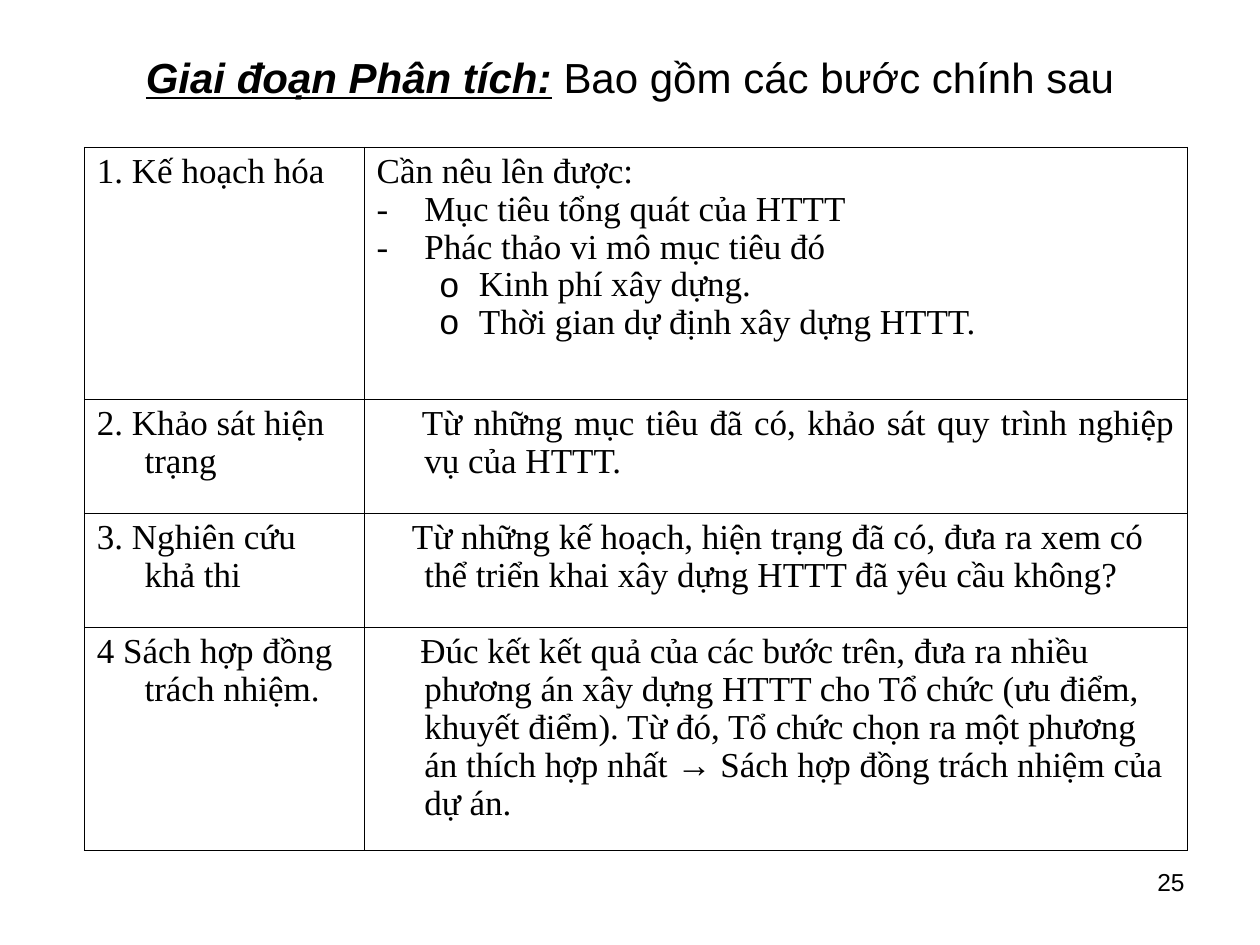
import pptx
import pptx.dml.color
import pptx.enum.text
import pptx.oxml.ns
import pptx.util
from lxml import etree
from pptx.util import Cm, Pt

ALIGN = pptx.enum.text.PP_ALIGN
BLACK = "000000"
SANS, SERIF = "Arial", "Times New Roman"
HANGING = (0.96, -0.96)  # left margin and first-line indent, cm
SUB_ITEM = (2.06, -0.79)

TITLE = [("Giai đoạn Phân tích:", True), (" Bao gồm các bước chính sau", False)]
PAGE_NUMBER = "25"

# Each step: name, row height in cm, paragraphs of
# (runs, alignment, indents, bullet and its font)
STEPS = [
    ("1. Kế hoạch hóa", 5.08, [
        (["Cần nêu lên được:"], ALIGN.JUSTIFY, HANGING, None),
        (["Mục tiêu tổng quát của HTTT"], ALIGN.JUSTIFY, HANGING, ("-", SERIF)),
        (["Phác thảo vi mô mục tiêu đó"], ALIGN.JUSTIFY, HANGING, ("-", SERIF)),
        (["Kinh phí xây dựng."], ALIGN.JUSTIFY, SUB_ITEM, ("o", SANS)),
        (["Thời gian dự định xây dựng HTTT."], ALIGN.JUSTIFY, SUB_ITEM, ("o", SANS)),
    ]),
    ("2. Khảo sát hiện trạng", 2.3, [
        (["Từ những mục tiêu đã có, khảo sát quy trình nghiệp vụ của HTTT."],
         ALIGN.JUSTIFY, (0.96, -0.05), None),
    ]),
    ("3. Nghiên cứu khả thi", 2.3, [
        (["Từ những kế hoạch, hiện trạng đã có, đưa ra xem có thể triển khai "
          "xây dựng HTTT đã yêu cầu không?"], ALIGN.LEFT, (0.96, -0.25), None),
    ]),
    ("4 Sách hợp đồng trách nhiệm.", 4.5, [
        (["Đúc kết kết quả của các bước trên, đưa ra nhiều phương án xây dựng "
          "HTTT cho Tổ chức (ưu điểm, khuyết điểm). Từ đó, Tổ chức chọn ra một "
          "phương án thích hợp nhất ", "→", " Sách hợp đồng trách nhiệm của dự án."],
         ALIGN.LEFT, (0.96, -0.08), None),
    ]),
]
COLUMN_WIDTHS = (5.64, 16.59)


def color(value):
    return pptx.dml.color.RGBColor.from_string(value)


def add_run(paragraph, text, font, size, emphasis=False):
    run = paragraph.add_run()
    run.text = text
    run.font.name = font
    run.font.size = Pt(size)
    run.font.color.rgb = color(BLACK)
    run.font.bold = run.font.italic = run.font.underline = emphasis


def add_element(parent, tag, **attributes):
    return etree.SubElement(parent, pptx.oxml.ns.qn(tag), **attributes)


def write_paragraph(paragraph, texts, alignment, indents, bullet):
    paragraph.alignment = alignment
    paragraph.line_spacing = 0.97
    paragraph.level = 1 if indents == SUB_ITEM else 0
    properties = paragraph._p.get_or_add_pPr()
    for name, length in zip(("marL", "indent"), indents):
        properties.set(name, str(Cm(length)))
    if bullet:
        character, font = bullet
        add_element(add_element(properties, "a:buClr"), "a:srgbClr", val=BLACK)
        add_element(properties, "a:buFont", typeface=font)
        add_element(properties, "a:buChar", char=character)
    for text in texts:
        add_run(paragraph, text, SANS if text == "→" else SERIF, 20)


def fill_cell(cell, paragraphs):
    properties = cell._tc.get_or_add_tcPr()
    for side in ("a:lnL", "a:lnR", "a:lnT", "a:lnB"):
        line = add_element(properties, side, w=str(Pt(0.45)))
        add_element(add_element(line, "a:solidFill"), "a:srgbClr", val=BLACK)
    cell.fill.background()
    frame = cell.text_frame
    for index, content in enumerate(paragraphs):
        paragraph = frame.add_paragraph() if index else frame.paragraphs[0]
        write_paragraph(paragraph, *content)


def main():
    presentation = pptx.Presentation()
    presentation.slide_width, presentation.slide_height = Cm(25.4), Cm(19.05)
    slide = presentation.slides.add_slide(presentation.slide_layouts[5])

    title = slide.shapes.title
    title.left, title.top, title.width, title.height = Cm(1.27), Cm(0.76), Cm(22.86), Cm(1.58)
    title.text_frame.vertical_anchor = pptx.enum.text.MSO_ANCHOR.MIDDLE
    heading = title.text_frame.paragraphs[0]
    heading.alignment = ALIGN.CENTER
    for text, emphasis in TITLE:
        add_run(heading, text, SANS, 24, emphasis)

    heights = [height for _, height, _ in STEPS]
    table = slide.shapes.add_table(
        len(STEPS), len(COLUMN_WIDTHS), Cm(1.7), Cm(2.97),
        Cm(sum(COLUMN_WIDTHS)), Cm(sum(heights))).table
    table.first_row = table.horz_banding = False
    for column, width in zip(table.columns, COLUMN_WIDTHS):
        column.width = Cm(width)
    for row, (name, height, paragraphs) in zip(table.rows, STEPS):
        row.height = Cm(height)
        fill_cell(row.cells[0], [([name], ALIGN.LEFT, HANGING, None)])
        fill_cell(row.cells[1], paragraphs)

    number_box = slide.shapes.add_textbox(Cm(18.2), Cm(17.35), Cm(5.93), Cm(1.32))
    number_box.text_frame.word_wrap = True
    number = number_box.text_frame.paragraphs[0]
    number.alignment = ALIGN.RIGHT
    add_run(number, PAGE_NUMBER, SANS, 14)

    presentation.save("out.pptx")


if __name__ == "__main__":
    main()
